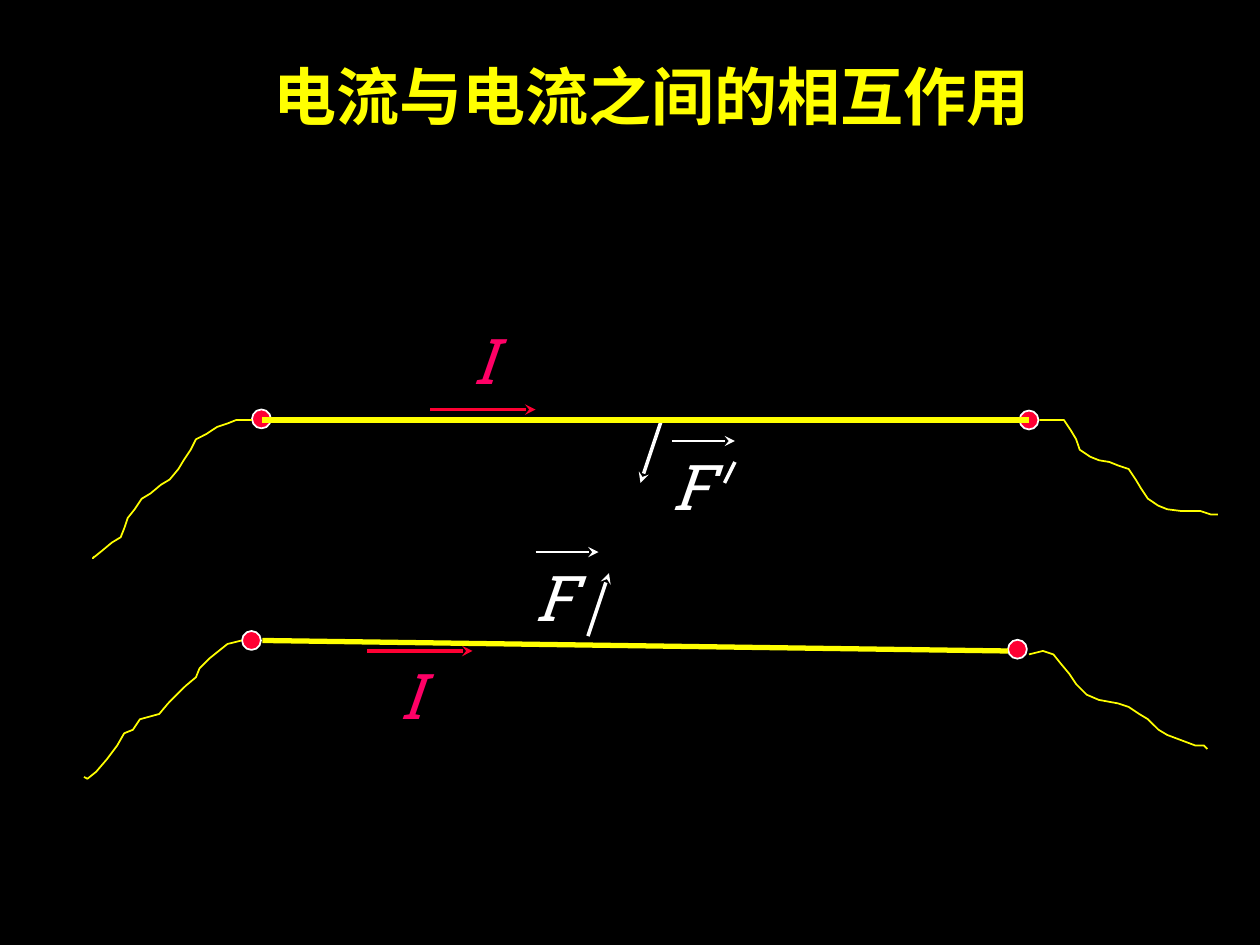
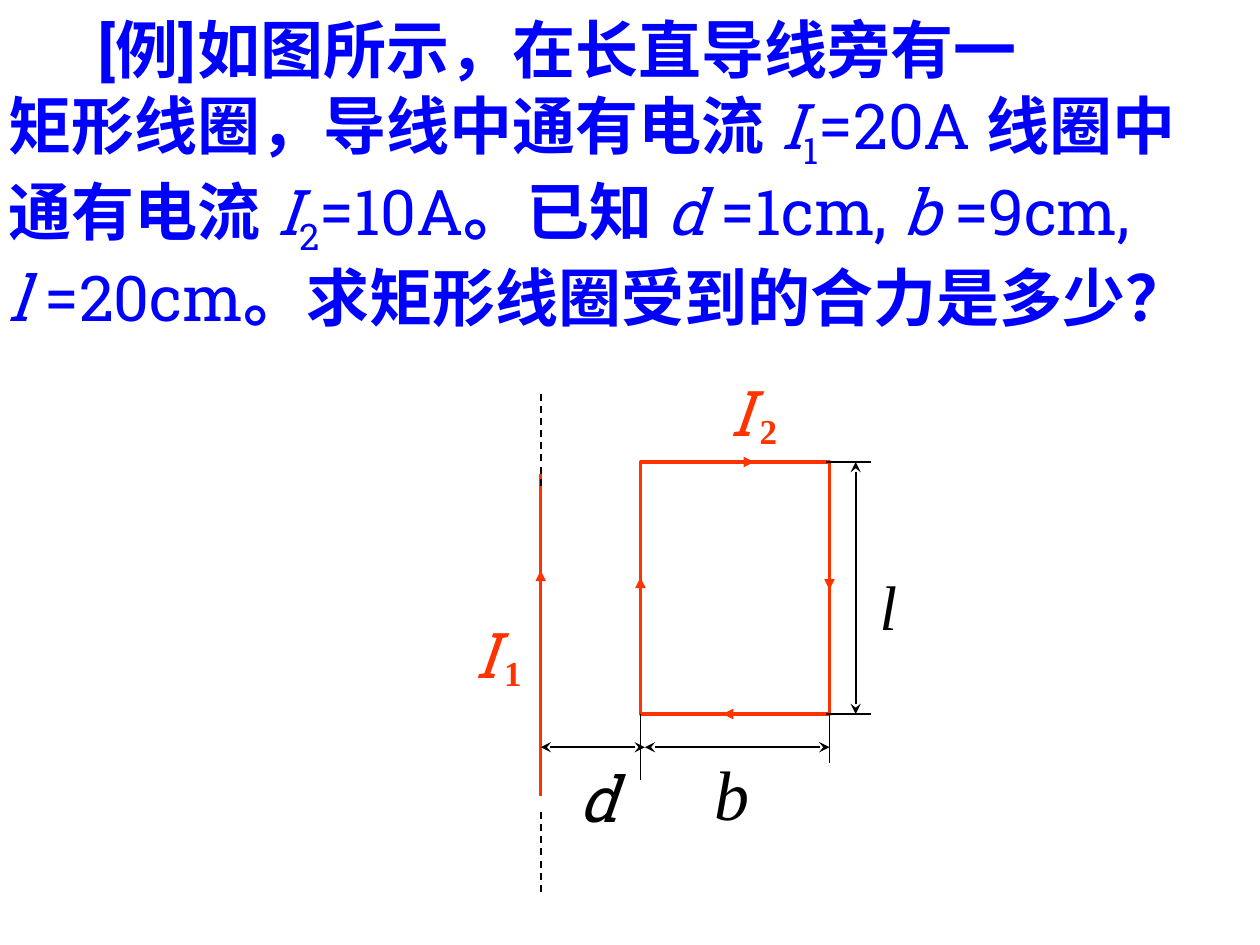
"""Build two slides on the forces between electric currents."""
from dataclasses import dataclass

from lxml.etree import SubElement
from pptx import Presentation
from pptx.dml.color import RGBColor
from pptx.enum.dml import MSO_LINE
from pptx.enum.lang import MSO_LANGUAGE_ID as Language
from pptx.enum.shapes import MSO_CONNECTOR as Connector, MSO_SHAPE as Shape
from pptx.enum.text import MSO_ANCHOR as Anchor, MSO_AUTO_SIZE as AutoSize, PP_ALIGN as Align
from pptx.oxml.ns import qn
from pptx.util import Pt


@dataclass(frozen=True)
class Theme:
    """Colours, fonts and type sizes shared by the slides."""
    black: str = "000000"
    white: str = "FFFFFF"
    yellow: str = "FFFF00"
    red: str = "FF0033"
    pink: str = "FF0066"
    orange: str = "FF3300"
    blue: str = "0000FF"
    slab: str = "Roboto Slab"
    serif: str = "Times New Roman"
    main: int = 36
    large: int = 40
    index: int = 20


THEME = Theme()

TITLE = "电流与电流之间的相互作用"
TERMINALS = [(143.7, 366), (149.4, 239.4), (581.4, 371), (588, 240)]
TERMINAL_SIZE = 10.8
LEADS = [
    [(144, 240), (135, 240), (130, 242), (124, 244), (118, 248), (112, 251), (109, 257),
     (105, 263), (102, 268), (97, 274), (92, 277), (86, 282), (81, 285), (77, 291),
     (73, 296), (71, 302), (69, 307), (64, 310), (58, 315), (53, 319), (54, 318)],
    [(138, 366), (130, 368), (125, 372), (120, 376), (114, 382), (112, 387), (106, 392),
     (101, 397), (96, 402), (91, 408), (80, 411), (76, 417), (71, 419), (67, 426),
     (61, 434), (55, 441), (50, 445), (48, 444)],
    [(594, 240), (602, 240), (608, 240), (612, 246), (615, 251), (617, 257), (623, 261),
     (628, 263), (634, 264), (639, 266), (645, 268), (649, 274), (652, 279), (656, 285),
     (662, 289), (667, 291), (675, 292), (686, 292), (692, 294), (696, 294)],
    [(588, 374), (596, 372), (602, 374), (606, 379), (611, 385), (615, 391), (621, 397),
     (628, 400), (639, 402), (645, 404), (651, 408), (656, 411), (662, 417), (667, 420),
     (683, 426), (688, 426), (690, 428)],
]
FORCE_LINES = [
    ((378, 240), (366, 276), THEME.white, 2, "", "stealth"),
    ((336, 363.5), (348, 327.5), THEME.white, 2, "", "stealth"),
    ((306, 315.5), (342, 315.5), THEME.white, 1, "", "stealth"),
    ((384, 252), (420, 252), THEME.white, 1, "", "stealth"),
    ((420, 264), (414, 276), THEME.white, 2),
    ((150, 240), (588, 240), THEME.yellow, 3),
    ((150, 366), (576, 372), THEME.yellow, 3),
    ((246, 234), (306, 234), THEME.red, 2, "", "stealth"),
    ((210, 372), (270, 372), THEME.red, 2, "", "stealth"),
]
FORCE_LABELS = [
    ("F", 299, 315.5, THEME.white),
    ("F", 377, 252, THEME.white),
    ("I", 263, 180, THEME.pink),
    ("I", 221, 371.5, THEME.pink),
]

PROBLEM = [
    [("[例]\t如图所示，在长直导线旁有一", "bold")],
    [("矩形线圈，导线中通有电流 ", "bold"), ("I", "italic"), ("1", "sub"),
     ("=20A ", "plain"), ("线圈中", "bold")],
    [("通有电流 ", "bold"), ("I", "italic"), ("2", "sub"), ("=10A", "plain"),
     ("。已知 ", "bold"), ("d ", "italic"), ("=1cm, ", "plain"), ("b ", "italic"),
     ("=9cm,", "plain")],
    [("l ", "italic"), ("=20cm", "plain"), ("。求矩形线圈受到的合力是多少？", "bold")],
]
PROBLEM_INDENT, PROBLEM_TAB = 51, 188
WIRE = 309
LEFT, TOP, RIGHT, BOTTOM = 366, 264, 474, 408
COIL_LINES = [
    ((WIRE, 271), (WIRE, 455), THEME.orange, 2),
    ((WIRE, 326), (WIRE, 372), THEME.orange, 2, "triangle"),
    ((WIRE, 464), (WIRE, 510), THEME.black, 1, "", "", True),
    ((WIRE, 225), (WIRE, 280), THEME.black, 1, "", "", True),
    ((LEFT, BOTTOM), (LEFT, 446), THEME.black, 1),
    ((RIGHT, BOTTOM), (RIGHT, 436), THEME.black, 1),
    ((WIRE, 427), (368.5, 427), THEME.black, 1, "stealth", "stealth"),
    ((368.5, 427), (RIGHT, 427), THEME.black, 1, "stealth", "stealth"),
    ((472, TOP), (498, TOP), THEME.black, 1),
    ((472, BOTTOM), (498, BOTTOM), THEME.black, 1),
    ((489, TOP), (489, BOTTOM), THEME.black, 1, "stealth", "stealth"),
    ((LEFT, 330), (LEFT, 348), THEME.orange, 2, "triangle"),
    ((RIGHT, 282), (RIGHT, 337), THEME.orange, 2, "", "triangle"),
    ((413, BOTTOM), (456, BOTTOM), THEME.orange, 2, "triangle"),
    ((414, TOP), (431, TOP), THEME.orange, 2, "", "triangle"),
]
COIL_LABELS = [
    ("b", 401, 425.5, THEME.black, THEME.large, THEME.serif),
    ("d", 324, 430.5, THEME.black),
    ("l", 495.5, 320.5, THEME.black, THEME.main, THEME.serif),
    ("I", 264, 348, THEME.orange),
    ("1", 281, 368.5, THEME.orange, THEME.index, THEME.serif, "bold"),
    ("I", 409.5, 210, THEME.orange),
    ("2", 427, 230.5, THEME.orange, THEME.index, THEME.serif, "bold"),
]


def rgb(code):
    """Turn a hex code into a colour."""
    return RGBColor.from_string(code)


def add_span(para, text, color, size=THEME.main, face=THEME.slab, style="plain"):
    """Add one formatted run to a paragraph."""
    span = para.add_run()
    span.text = text
    font = span.font
    font.name, font.size = face, Pt(size)
    font.bold, font.italic = style == "bold", style == "italic"
    font.color.rgb = rgb(color)
    font.language_id = Language.SIMPLIFIED_CHINESE
    properties = span._r.get_or_add_rPr()
    SubElement(properties, qn("a:ea"), typeface=face)
    if style == "sub":
        properties.set("baseline", "-25000")


def add_line(page, start, end, color, width, head="", tail="", dashed=False):
    """Draw a straight line with optional arrowheads."""
    line = page.shapes.add_connector(Connector.STRAIGHT, *map(Pt, start + end))
    line.line.color.rgb = rgb(color)
    line.line.width = Pt(width)
    if dashed:
        line.line.dash_style = MSO_LINE.DASH
    outline = line.line._get_or_add_ln()
    for tag, kind in (("a:headEnd", head), ("a:tailEnd", tail)):
        if kind:
            SubElement(outline, qn(tag), type=kind)
    SubElement(line._element.spPr, qn("a:effectLst"))


def style_shape(shape, color, width, fill=None):
    """Give a shape its outline and its fill, if any."""
    shape.shadow.inherit = False
    shape.line.color.rgb = rgb(color)
    shape.line.width = Pt(width)
    if fill:
        shape.fill.solid()
        shape.fill.fore_color.rgb = rgb(fill)
    else:
        shape.fill.background()


def add_label(page, text, left, top, color, size=THEME.main, face=THEME.slab, style="italic"):
    """Place a one-letter label."""
    box = page.shapes.add_textbox(Pt(left), Pt(top), Pt(size + 4), Pt(size * 1.4))
    box.text_frame.word_wrap = True
    add_span(box.text_frame.paragraphs[0], text, color, size, face, style)


def add_page(deck, layout, background):
    """Add a slide with a plain background."""
    page = deck.slides.add_slide(deck.slide_layouts[layout])
    page.background.fill.solid()
    page.background.fill.fore_color.rgb = rgb(background)
    return page


def build_forces(deck):
    """Show two parallel currents acting on each other."""
    page = add_page(deck, 5, THEME.black)
    title = page.shapes.title
    title.left, title.top, title.width, title.height = map(Pt, (149, 29.5, 446.5, 50.5))
    frame = title.text_frame
    frame.word_wrap, frame.auto_size = False, AutoSize.SHAPE_TO_FIT_TEXT
    frame.vertical_anchor = Anchor.TOP
    frame.paragraphs[0].alignment = Align.LEFT
    add_span(frame.paragraphs[0], TITLE, THEME.yellow, style="bold")
    for x, y in TERMINALS:
        corner = Pt(x - TERMINAL_SIZE / 2), Pt(y - TERMINAL_SIZE / 2)
        dot = page.shapes.add_shape(Shape.OVAL, *corner, Pt(TERMINAL_SIZE), Pt(TERMINAL_SIZE))
        style_shape(dot, THEME.white, 1, THEME.red)
    for lead in LEADS:
        start, *rest = [(Pt(x), Pt(y)) for x, y in lead]
        builder = page.shapes.build_freeform(*start)
        builder.add_line_segments(rest, close=False)
        style_shape(builder.convert_to_shape(), THEME.yellow, 1)
    for line in FORCE_LINES:
        add_line(page, *line)
    for label in FORCE_LABELS:
        add_label(page, *label)


def build_problem(deck):
    """State the coil problem above its diagram."""
    page = add_page(deck, 6, THEME.white)
    box = page.shapes.add_textbox(*map(Pt, (5, 6, 703.5, 185)))
    frame = box.text_frame
    frame.word_wrap, frame.auto_size = False, AutoSize.SHAPE_TO_FIT_TEXT
    frame.margin_left = frame.margin_right = frame.margin_top = frame.margin_bottom = 0
    for number, spans in enumerate(PROBLEM):
        para = frame.add_paragraph() if number else frame.paragraphs[0]
        if not number:
            properties = para._p.get_or_add_pPr()
            properties.set("marL", "0")
            properties.set("indent", str(Pt(PROBLEM_INDENT)))
            tabs = SubElement(properties, qn("a:tabLst"))
            SubElement(tabs, qn("a:tab"), pos=str(Pt(PROBLEM_TAB)), algn="l")
        for text, style in spans:
            add_span(para, text, THEME.blue, style=style)
    coil = page.shapes.add_shape(Shape.RECTANGLE, *map(Pt, (LEFT, TOP, RIGHT - LEFT, BOTTOM - TOP)))
    style_shape(coil, THEME.orange, 2)
    for line in COIL_LINES:
        add_line(page, *line)
    for label in COIL_LABELS:
        add_label(page, *label)


def main():
    """Build and save the deck."""
    deck = Presentation()
    deck.slide_width, deck.slide_height = Pt(720), Pt(540)
    build_forces(deck)
    build_problem(deck)
    deck.save("out.pptx")


if __name__ == "__main__":
    main()
